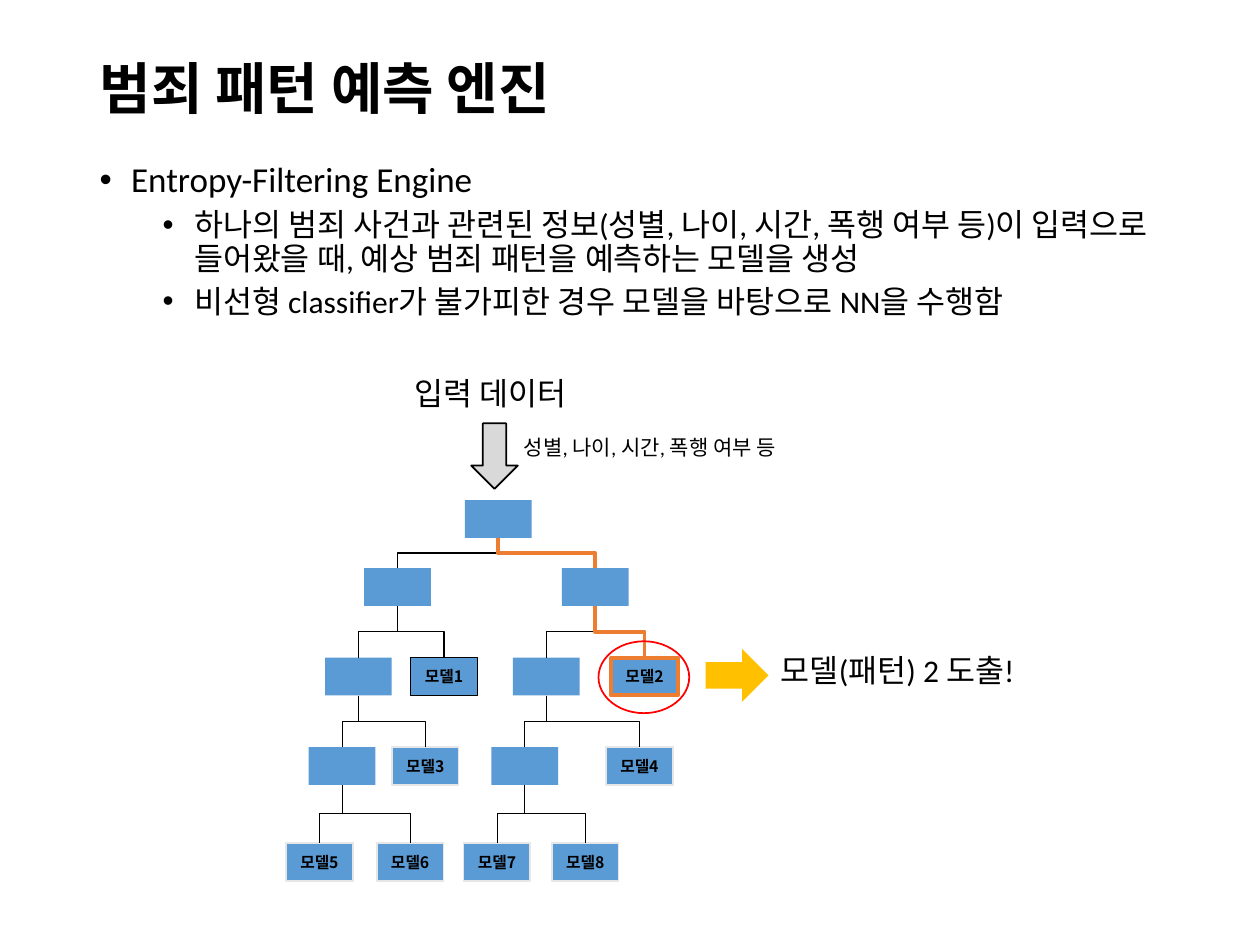
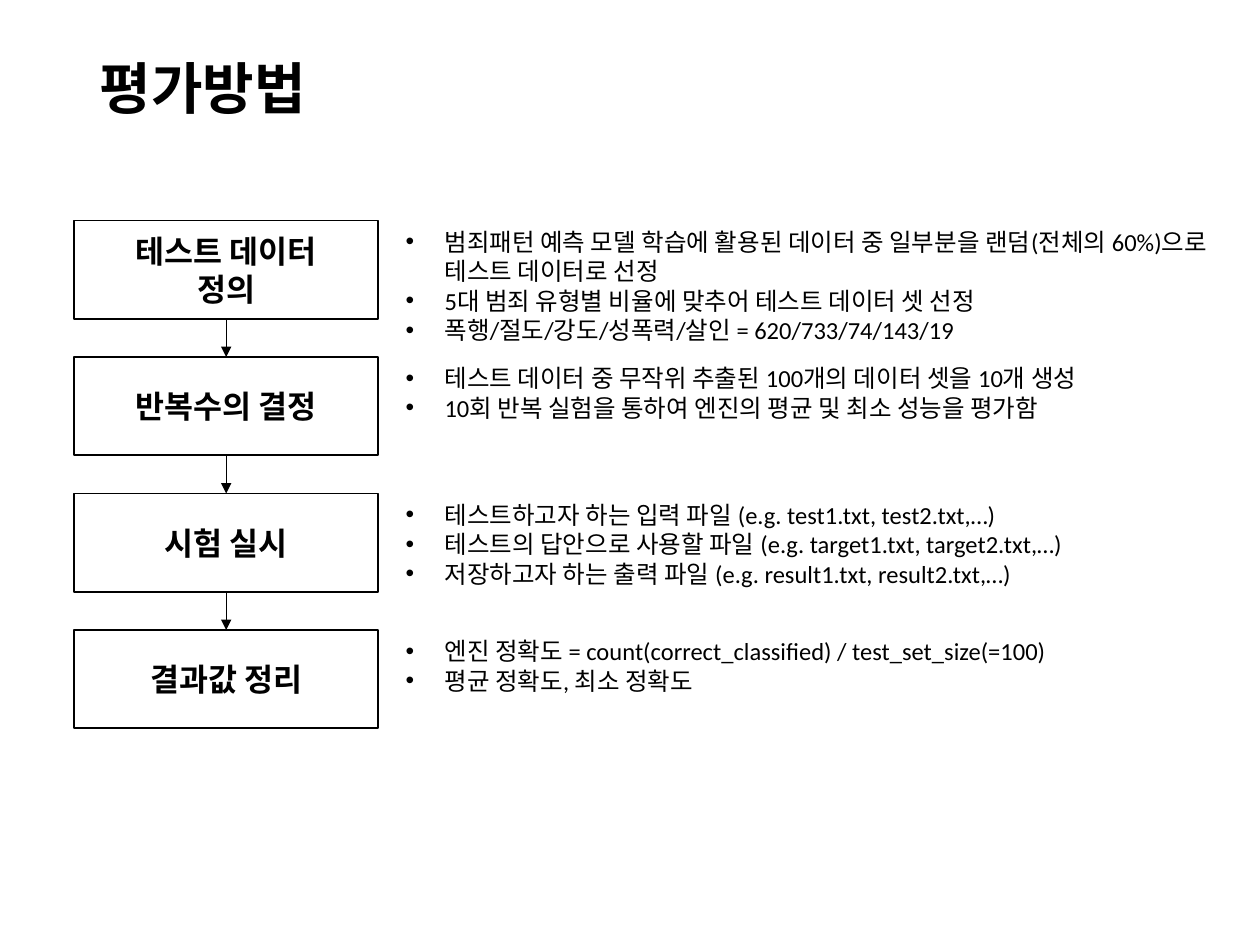
from lxml import etree
from pptx import Presentation
from pptx.dml.color import RGBColor
from pptx.enum.shapes import MSO_CONNECTOR, MSO_SHAPE
from pptx.enum.text import MSO_ANCHOR, MSO_AUTO_SIZE, PP_ALIGN
from pptx.oxml.ns import qn
from pptx.util import Inches, Pt

RECT, OVAL = MSO_SHAPE.RECTANGLE, MSO_SHAPE.OVAL
DOWN, RIGHT = MSO_SHAPE.DOWN_ARROW, MSO_SHAPE.RIGHT_ARROW
ELBOW, STRAIGHT = MSO_CONNECTOR.ELBOW, MSO_CONNECTOR.STRAIGHT
LEFT, CENTER = PP_ALIGN.LEFT, PP_ALIGN.CENTER
TOP, MIDDLE = MSO_ANCHOR.TOP, MSO_ANCHOR.MIDDLE
NO_FIT = MSO_AUTO_SIZE.NONE
rgb = RGBColor.from_string

BLACK, WHITE, RED = "000000", "FFFFFF", "FF0000"
BLUE, ORANGE, GOLD = "5B9BD5", "ED7D31", "FFC000"
GREY, PALE = "D9D9D9", "E7E6E6"
LATIN, KOREAN = "Calibri", "Noto Sans CJK KR"
TITLE_AT = [Inches(n) for n in (0.69, 0.4, 8.62, 0.65)]


def write(frame, lines, size, bold=False, align=LEFT, anchor=TOP, font=LATIN, indent=0):
    """Fill a text frame, one paragraph per line; an indent in inches adds bullets."""
    frame.word_wrap = True
    frame.auto_size = NO_FIT
    frame.vertical_anchor = anchor
    for i, line in enumerate(lines):
        para = frame.paragraphs[0] if i == 0 else frame.add_paragraph()
        para.alignment = align
        run = para.add_run()
        run.text = line
        run.font.name, run.font.size, run.font.bold = font, Pt(size), bold
        run.font.color.rgb = rgb(BLACK)
        if indent:
            props = para._p.get_or_add_pPr()
            props.set("marL", str(Inches(indent)))
            props.set("indent", str(-Inches(indent)))
            etree.SubElement(props, qn("a:buFont"), typeface="Arial")
            etree.SubElement(props, qn("a:buChar"), char="•")


def draw(slide, kind, place, fill=None, line=None, width=1):
    shape = slide.shapes.add_shape(kind, *[Inches(n) for n in place])
    shape.shadow.inherit = False
    if fill:
        shape.fill.solid()
        shape.fill.fore_color.rgb = rgb(fill)
    else:
        shape.fill.background()
    if line:
        shape.line.color.rgb = rgb(line)
        shape.line.width = Pt(width)
    else:
        shape.line.fill.background()
    return shape


deck = Presentation()
deck.slide_width, deck.slide_height = Inches(10), Inches(7.5)
engine = deck.slides.add_slide(deck.slide_layouts[1])
method = deck.slides.add_slide(deck.slide_layouts[5])

for slide, name in ((engine, "범죄 패턴 예측 엔진"), (method, "평가방법")):
    title = slide.shapes.title
    title.left, title.top, title.width, title.height = TITLE_AT
    write(title.text_frame, [name], 32, bold=True, anchor=MIDDLE)
    title.text_frame.paragraphs[0].line_spacing = 0.9

# Slide 1: engine summary
body = engine.placeholders[1]
body.left, body.top, body.width, body.height = [Inches(n) for n in (0.69, 1.24, 8.62, 5.51)]
points = [
    "Entropy-Filtering Engine",
    "하나의 범죄 사건과 관련된 정보(성별, 나이, 시간, 폭행 여부 등)이 입력으로 들어왔을 때, "
    "예상 범죄 패턴을 예측하는 모델을 생성",
    "비선형 classifier가 불가피한 경우 모델을 바탕으로 NN을 수행함",
]
write(body.text_frame, points, 18, indent=0.25)
for i, para in enumerate(body.text_frame.paragraphs):
    para.line_spacing = 0.9
    para.space_before = Pt(5 if i else 10)
    if i:
        para.level = 1
        para._p.pPr.set("marL", str(Inches(0.75)))
    else:
        para.runs[0].font.size = Pt(20)

# Decision tree: key, left, row, label, outline, outline width
ROWS = (3.97, 4.51, 5.22, 5.93, 6.69)
NODE_W, NODE_H = 0.53, 0.3
nodes = [
    ("root", 3.69, 0, None, None, 0),
    ("L", 2.89, 1, None, None, 0),
    ("R", 4.46, 1, None, None, 0),
    ("LL", 2.58, 2, None, None, 0),
    ("LR", 3.26, 2, "모델1", BLACK, 0.75),
    ("RL", 4.07, 2, None, None, 0),
    ("RR", 4.85, 2, "모델2", ORANGE, 2.25),
    ("LLL", 2.45, 3, None, None, 0),
    ("LLR", 3.11, 3, "모델3", PALE, 1),
    ("RLL", 3.9, 3, None, None, 0),
    ("RLR", 4.81, 3, "모델4", PALE, 1),
    ("LLLL", 2.27, 4, "모델5", PALE, 1),
    ("LLLR", 2.99, 4, "모델6", PALE, 1),
    ("RLLL", 3.68, 4, "모델7", PALE, 1),
    ("RLLR", 4.38, 4, "모델8", PALE, 1),
]
tree = {}
for key, left, row, label, line, width in nodes:
    node = draw(engine, RECT, (left, ROWS[row], NODE_W, NODE_H), BLUE, line, width)
    if label:
        write(node.text_frame, [label], 9, True, CENTER, MIDDLE, KOREAN)
    tree[key] = node

# Each key extends its parent's key by one letter
for key, child in tree.items():
    if key == "root":
        continue
    parent = tree[key[:-1] or "root"]
    link = engine.shapes.add_connector(ELBOW, 0, 0, 0, 0)
    link.begin_connect(parent, 2)
    link.end_connect(child, 0)
    # Turn the elbow so that it leaves downwards
    wide, high = link.width, link.height
    link.left += (wide - high) // 2
    link.top += (high - wide) // 2
    link.width, link.height = high, wide
    frame = link.element.spPr.find(qn("a:xfrm"))
    right = child.left > parent.left
    frame.set("rot", "16200000" if right else "5400000")
    frame.set("flipH", "1" if right else "0")
    chosen = key in ("R", "RR")
    link.line.color.rgb = rgb(ORANGE if chosen else BLACK)
    link.line.width = Pt(2.25 if chosen else 0.75 if key in ("L", "LR") else 0.5)
    etree.SubElement(link.element.spPr, qn("a:effectLst"))

draw(engine, OVAL, (4.75, 5.09, 0.72, 0.57), line=RED)
draw(engine, DOWN, (3.74, 3.36, 0.37, 0.52), GREY, BLACK)
draw(engine, RIGHT, (5.6, 5.15, 0.5, 0.42), GOLD)
for text, size, place in (
    ("입력 데이터", 18, (3.19, 2.92, 1.52, 0.4)),
    ("성별, 나이, 시간, 폭행 여부 등", 12, (4.06, 3.4, 2.37, 0.3)),
    ("모델(패턴) 2 도출!", 18, (6.1, 5.12, 2.2, 0.4)),
):
    note = engine.shapes.add_textbox(*[Inches(n) for n in place])
    write(note.text_frame, [text], size)

# Slide 2: four test steps
steps = [
    (["테스트 데이터", "정의"], [
        "범죄패턴 예측 모델 학습에 활용된 데이터 중 일부분을 랜덤(전체의 60%)으로 테스트 데이터로 선정",
        "5대 범죄 유형별 비율에 맞추어 테스트 데이터 셋 선정",
        "폭행/절도/강도/성폭력/살인 = 620/733/74/143/19"]),
    (["반복수의 결정"], [
        "테스트 데이터 중 무작위 추출된 100개의 데이터 셋을 10개 생성",
        "10회 반복 실험을 통하여 엔진의 평균 및 최소 성능을 평가함"]),
    (["시험 실시"], [
        "테스트하고자 하는 입력 파일 (e.g. test1.txt, test2.txt,…)",
        "테스트의 답안으로 사용할 파일 (e.g. target1.txt, target2.txt,…)",
        "저장하고자 하는 출력 파일 (e.g. result1.txt, result2.txt,…)"]),
    (["결과값 정리"], [
        "엔진 정확도 = count(correct_classified) / test_set_size(=100)",
        "평균 정확도, 최소 정확도"]),
]
FIRST, LAST = 1.75, 5
pitch = (LAST - FIRST) / (len(steps) - 1)
prior = None
for i, (name, facts) in enumerate(steps):
    top = FIRST + i * pitch
    step = draw(method, RECT, (0.59, top, 2.41, 0.78), WHITE, BLACK)
    write(step.text_frame, name, 18, True, CENTER, MIDDLE)
    note = method.shapes.add_textbox(Inches(3.12), Inches(top), Inches(6.58), Inches(0.81))
    write(note.text_frame, facts, 14, indent=0.31)
    if prior:
        arrow = method.shapes.add_connector(STRAIGHT, 0, 0, 0, 0)
        arrow.begin_connect(prior, 2)
        arrow.end_connect(step, 0)
        arrow.line.color.rgb = rgb(BLACK)
        arrow.line.width = Pt(0.5)
        etree.SubElement(arrow.line._get_or_add_ln(), qn("a:tailEnd"), type="triangle")
        etree.SubElement(arrow.element.spPr, qn("a:effectLst"))
    prior = step

deck.save("out.pptx")
